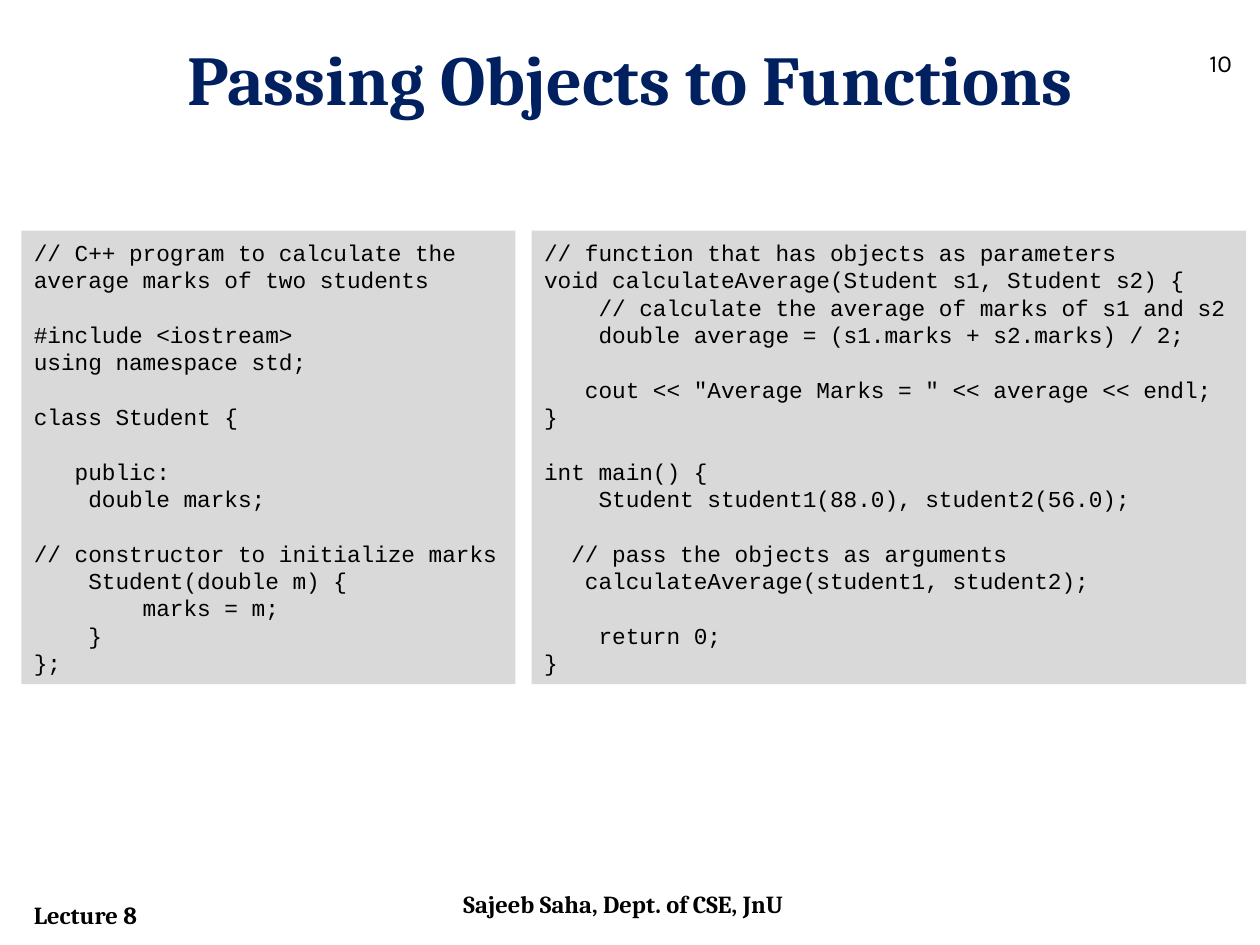
"""Build the slide on passing objects to functions."""
from lxml.etree import SubElement
from pptx import Presentation
from pptx.dml.color import RGBColor as RGB
from pptx.enum.shapes import MSO_SHAPE as Shape
from pptx.enum.text import MSO_ANCHOR as Anchor, MSO_AUTO_SIZE as Fit, PP_ALIGN as Align
from pptx.oxml.ns import qn
from pptx.util import Inches, Pt

COLS, ROWS = 100, 75
WIDE, HIGH = Inches(10), Inches(7.5)
INK = {"text": "000000", "title": "002060", "panel": "D9D9D9"}
MONO, SIZE, PITCH = "Courier New", 13, 15.63
EDGE, GAP, TOP, TALL = 1.7, 1.3, 18.3, 36
SPANS = (39.2, 56.7)

CLASS = """// C++ program to calculate the average marks of two students

#include <iostream>
using namespace std;

class Student {

   public:
    double marks;

// constructor to initialize marks
    Student(double m) {
        marks = m;
    }
};"""

MAIN = """// function that has objects as parameters
void calculateAverage(Student s1, Student s2) {
    // calculate the average of marks of s1 and s2
    double average = (s1.marks + s2.marks) / 2;

   cout << "Average Marks = " << average << endl;
}

int main() {
    Student student1(88.0), student2(56.0);

  // pass the objects as arguments
   calculateAverage(student1, student2);

    return 0;
}"""

LABELS = (
    ("Lecture 8", (EDGE, 70.9, 20, 3.4), "Cambria", True),
    ("Sajeeb Saha, Dept. of CSE, JnU", (35.8, 70.1, 28.3, 4), "Cambria", True),
    ("10", (95, 3.3, 4.2, 4), "Karla", False),
)


def place(col, row, cols, rows):
    return (int(WIDE * col / COLS), int(HIGH * row / ROWS),
            int(WIDE * cols / COLS), int(HIGH * rows / ROWS))


def write(para, text, face, size, ink="text", bold=False):
    run = para.add_run()
    run.text = text
    font = run.font
    font.name, font.size, font.bold = face, Pt(size), bold
    font.color.rgb = RGB.from_string(INK[ink])


def setup(frame, anchor):
    frame.word_wrap = True
    frame.auto_size = Fit.NONE
    frame.vertical_anchor = anchor


def head(slide, text):
    title = slide.shapes.title
    title.left, title.top, title.width, title.height = place(5, 2.3, 90, 7.7)
    setup(title.text_frame, Anchor.MIDDLE)
    para = title.text_frame.paragraphs[0]
    para.alignment = Align.CENTER
    write(para, text, "Cambria", 40, "title", True)


def label(slide, text, spot, face, bold):
    frame = slide.shapes.add_textbox(*place(*spot)).text_frame
    setup(frame, Anchor.TOP)
    write(frame.paragraphs[0], text, face, 14, bold=bold)


def blank(para):
    """Give an empty code line the size and face of its neighbours."""
    end = SubElement(para._p, qn("a:endParaRPr"), sz=str(SIZE * 100))
    SubElement(end, qn("a:latin"), typeface=MONO)


def panel(slide, code, col, cols):
    box = slide.shapes.add_shape(Shape.RECTANGLE, *place(col, TOP, cols, TALL))
    box.shadow.inherit = False
    box.fill.solid()
    box.fill.fore_color.rgb = RGB.from_string(INK["panel"])
    box.line.fill.background()
    frame = box.text_frame
    setup(frame, Anchor.MIDDLE)
    for i, line in enumerate(code.split("\n")):
        para = frame.add_paragraph() if i else frame.paragraphs[0]
        para.alignment = Align.LEFT
        para.line_spacing = Pt(PITCH)
        if line:
            write(para, line, MONO, SIZE)
        else:
            blank(para)


def main():
    deck = Presentation()
    deck.slide_width, deck.slide_height = WIDE, HIGH
    slide = deck.slides.add_slide(deck.slide_layouts[5])
    head(slide, "Passing Objects to Functions")
    for item in LABELS:
        label(slide, *item)
    col = EDGE
    for code, cols in zip((CLASS, MAIN), SPANS):
        panel(slide, code, col, cols)
        col += cols + GAP
    deck.save("out.pptx")


if __name__ == "__main__":
    main()
